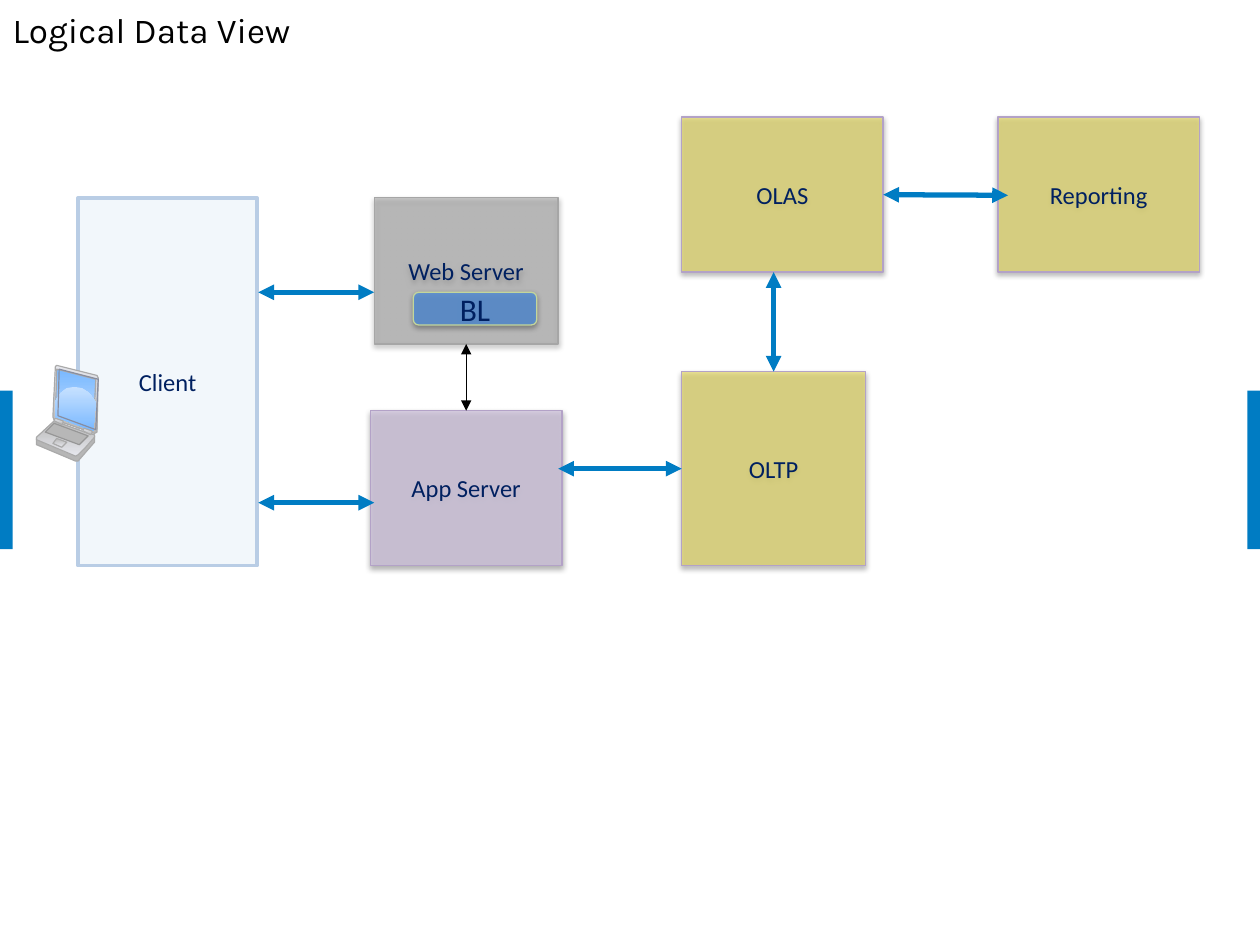
import pptx
import pptx.util
import pptx.dml.color
import pptx.enum.shapes
import pptx.enum.text
import pptx.oxml
import pptx.oxml.ns
from pptx.util import Inches

BLUE, NAVY, GREY, LILAC = "007CC3", "002060", "AAAAAA", "B3A2C7"
SHAPE = pptx.enum.shapes.MSO_SHAPE
SILVER = ("E6E7ED", "B8B8B8")
DARK_TO_LIGHT = ("B8B8B8", "E6E7ED")
STORE = {"color": "E2D65F", "alpha": 65, "border": LILAC}

HINGE = [(38, 52), (38, 53), (44, 56), (45, 55), (45, 53), (39, 51)]
# Outline in hundredths of an inch, fill (none, solid or gradient), line colour
LAPTOP_PARTS = [
    ([(1, 59), (1, 64), (32, 77), (34, 77), (47, 62), (47, 57)], "B6B6B6", GREY),
    ([(1, 60), (32, 73), (34, 72), (40, 66), (47, 58), (47, 56), (42, 55),
      (15, 45), (14, 46), (1, 58)], DARK_TO_LIGHT, GREY),
    ([(15, 47), (8, 54), (35, 64), (42, 57)], "B7B7B7", "969696"),
    ([(17, 59), (14, 63), (21, 66), (25, 62)], DARK_TO_LIGHT, GREY),
    ([(49, 9), (17, 1), (16, 2), (14, 42), (15, 44), (47, 55), (49, 54), (50, 11)],
     SILVER, GREY),
    ([(16, 42), (17, 4), (48, 12), (46, 52)], ("79B8FF", "C7E1FF"), GREY),
    ([(48, 30), (43, 23), (37, 19), (31, 18), (25, 19), (20, 23), (16, 29),
      (16, 42), (46, 53)], ("C7E1FF", "79B8FF"), None),
    ([(18, 41), (19, 4), (50, 12), (48, 52)], None, "878DA0"),
    (HINGE, SILVER, GREY),
    ([(x - 23, y - 8) for x, y in HINGE], SILVER, GREY),
]


def rgb(value):
    return pptx.dml.color.RGBColor.from_string(value)


def set_fill(s, fill):
    """Fill with nothing, one colour, or a top-to-bottom pair of colours."""
    if fill is None:
        s.fill.background()
    elif isinstance(fill, str):
        s.fill.solid()
        s.fill.fore_color.rgb = rgb(fill)
    else:
        s.fill.gradient()
        s.fill.gradient_angle = 270
        for stop, color in zip(s.fill.gradient_stops, fill):
            stop.color.rgb = rgb(color)


def set_line(s, color, width=0.75):
    if color is None:
        s.line.fill.background()
    else:
        s.line.color.rgb = rgb(color)
        s.line.width = pptx.util.Pt(width)


def set_alpha(s, percent):
    color = s._element.spPr.find(
        pptx.oxml.ns.qn("a:solidFill")).find(pptx.oxml.ns.qn("a:srgbClr"))
    color.append(pptx.oxml.parse_xml(
        f'<a:alpha {pptx.oxml.ns.nsdecls("a")} val="{percent * 1000}"/>'))


def add_shadow(s):
    effects = s._element.spPr.find(pptx.oxml.ns.qn("a:effectLst"))
    effects.append(pptx.oxml.parse_xml(
        f'<a:outerShdw {pptx.oxml.ns.nsdecls("a")} blurRad="40000" dist="20000" '
        'dir="5400000" rotWithShape="0"><a:srgbClr val="000000">'
        '<a:alpha val="38000"/></a:srgbClr></a:outerShdw>'))


def set_font(font, **values):
    for name, value in values.items():
        setattr(font, name, value)


def add_title(slide, box, text):
    s = slide.shapes.title
    s.left, s.top, s.width, s.height = map(Inches, box)
    tf = s.text_frame
    tf.text = text
    tf.vertical_anchor = pptx.enum.text.MSO_ANCHOR.TOP
    p = tf.paragraphs[0]
    p.alignment = pptx.enum.text.PP_ALIGN.LEFT
    set_font(p.font, name="Karla", size=pptx.util.Pt(20))
    p.font.color.rgb = rgb("000000")


def add_side_bar(slide, box):
    s = slide.shapes.add_shape(SHAPE.RECTANGLE, *map(Inches, box))
    s.shadow.inherit = False
    set_fill(s, BLUE)
    set_line(s, None)


def add_node(slide, box, text, color, alpha, border, width=0.75, size=14,
             kind=SHAPE.RECTANGLE, shadow=True):
    s = slide.shapes.add_shape(kind, *map(Inches, box))
    s.shadow.inherit = False
    set_fill(s, color)
    set_alpha(s, alpha)
    set_line(s, border, width)
    if shadow:
        add_shadow(s)
    tf = s.text_frame
    tf.text = text
    tf.vertical_anchor = pptx.enum.text.MSO_ANCHOR.MIDDLE
    p = tf.paragraphs[0]
    p.alignment = pptx.enum.text.PP_ALIGN.CENTER
    set_font(p.font, name="Calibri", size=pptx.util.Pt(size))
    p.font.color.rgb = rgb(NAVY)
    return s


def add_laptop(slide, left, top):
    parts = []
    for points, fill, line in LAPTOP_PARTS:
        builder = slide.shapes.build_freeform(*points[0], scale=Inches(0.01))
        builder.add_line_segments(points[1:], close=True)
        s = builder.convert_to_shape(Inches(left), Inches(top))
        s.shadow.inherit = False
        set_fill(s, fill)
        set_line(s, line, 0.69)
        parts.append(s)
    slide.shapes.add_group_shape(parts)


def add_arrow(slide, start, end, color=BLUE, width=3, begin_at=None, end_at=None):
    """Draw a two-headed arrow; begin_at and end_at are (shape, side) joins."""
    c = slide.shapes.add_connector(
        pptx.enum.shapes.MSO_CONNECTOR.STRAIGHT, *map(Inches, start + end))
    if begin_at:
        c.begin_connect(*begin_at)
    if end_at:
        c.end_connect(*end_at)
    set_line(c, color, width)
    ln = c.line._get_or_add_ln()
    for tag in ("headEnd", "tailEnd"):
        ln.append(pptx.oxml.parse_xml(
            f'<a:{tag} {pptx.oxml.ns.nsdecls("a")} type="triangle"/>'))
    c._element.spPr.append(pptx.oxml.parse_xml(
        f'<a:effectLst {pptx.oxml.ns.nsdecls("a")}/>'))


def add_diagram(slide):
    add_node(slide, (0.62, 1.57, 1.42, 2.92), "Client", "ECF4FA", 64, "B9CDE5",
             width=2, shadow=False)
    web = add_node(slide, (2.97, 1.57, 1.46, 1.16), "Web Server", "8A8A8A", 42, "A6A6A6")
    app = add_node(slide, (2.94, 3.26, 1.52, 1.23), "App Server", "CCC1DA", 76, LILAC)
    oltp = add_node(slide, (5.41, 2.95, 1.46, 1.54), "OLTP", **STORE)
    add_node(slide, (3.28, 2.32, 0.98, 0.26), "BL", "558ED5", 82, "C3D69B",
             size=18, kind=SHAPE.ROUNDED_RECTANGLE)
    add_laptop(slide, 0.28, 2.89)
    add_arrow(slide, (3.7, 2.73), (3.7, 3.26), "000000", 0.75, (web, 2), (app, 0))
    olas = add_node(slide, (5.41, 0.93, 1.6, 1.23), "OLAS", **STORE)
    add_node(slide, (7.92, 0.93, 1.6, 1.23), "Reporting", **STORE)
    for y in (2.32, 3.99):
        add_arrow(slide, (2.97, y), (2.05, y))
    add_arrow(slide, (5.41, 3.72), (4.43, 3.72), begin_at=(oltp, 1))
    add_arrow(slide, (6.14, 2.95), (6.14, 2.16), begin_at=(oltp, 0))
    add_arrow(slide, (8, 1.55), (7.01, 1.55), end_at=(olas, 3))


def main():
    prs = pptx.Presentation()
    prs.slide_width, prs.slide_height = Inches(10), Inches(7.5)
    slide = prs.slides.add_slide(prs.slide_layouts[5])
    for left in (9.9, 0):
        add_side_bar(slide, (left, 3.1, 0.1, 1.26))
    add_title(slide, (0, 0.02, 9.54, 0.66), "Logical Data View")
    add_diagram(slide)
    prs.save("out.pptx")


if __name__ == "__main__":
    main()
